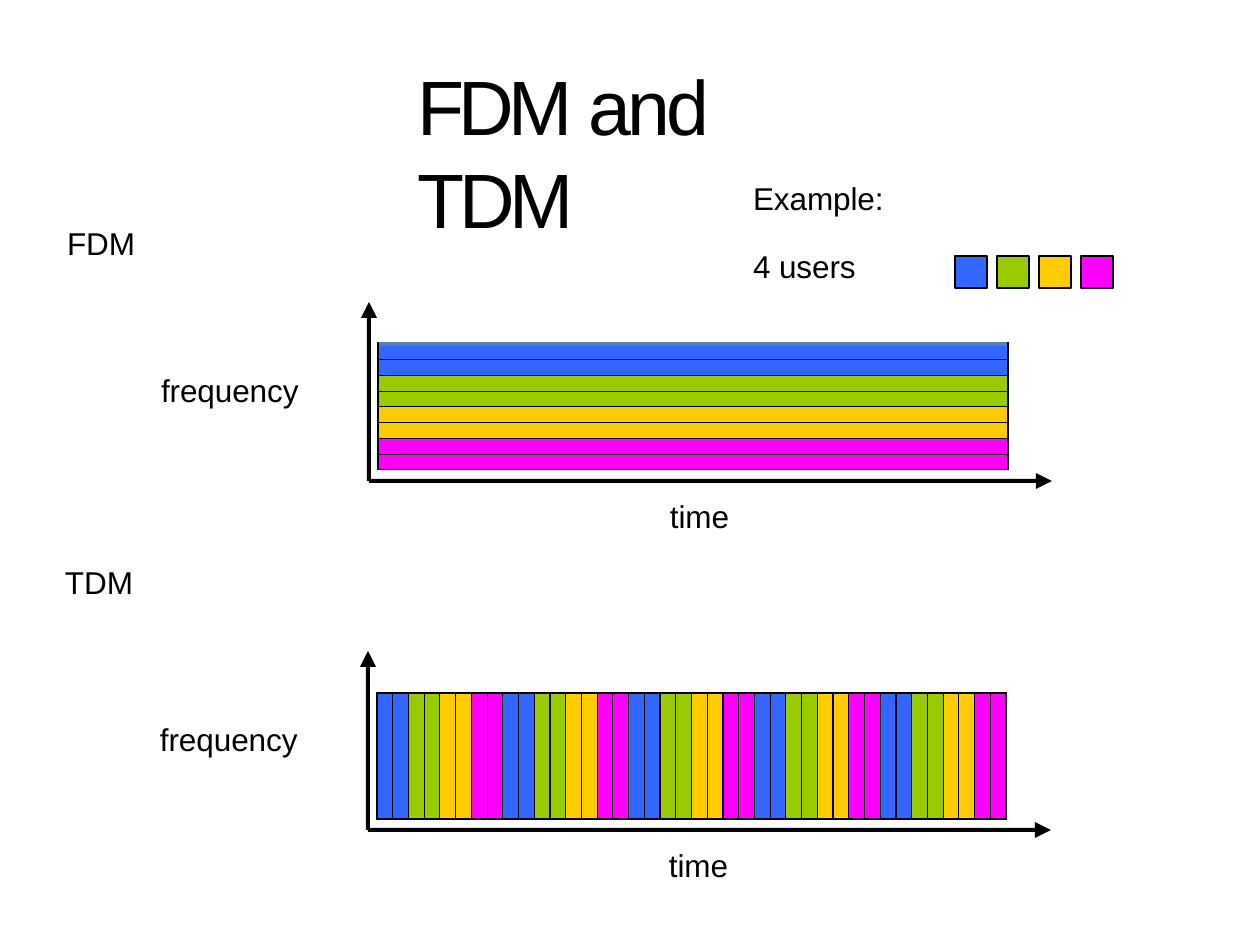
from lxml import etree
from pptx import Presentation
from pptx import util as u
from pptx.dml.color import RGBColor
from pptx.enum import shapes, text
from pptx.oxml import ns

PX = 914400 / 126
INK = {"black": "000000", "rim": "4F81BC"}
USERS = {"blue": "3366FF", "green": "99CC00", "gold": "FFCC00", "pink": "FF00FF"}
SLOTS = [hue for hue in USERS.values() for _ in range(2)]


def px(n):
    return u.Emu(round(n * PX))


def paint(fill, hue):
    fill.solid()
    fill.fore_color.rgb = RGBColor.from_string(hue)


def add(node, tag, **attrs):
    return etree.SubElement(node, ns.qn(tag), attrs)


def write(slide, runs, x, y, w, h=42, size=18, before=1):
    """Place one paragraph made of (words, letter spacing) runs."""
    frame = slide.shapes.add_textbox(px(x), px(y), px(w), px(h)).text_frame
    frame.word_wrap = True
    frame.vertical_anchor = text.MSO_ANCHOR.TOP
    frame.margin_left = frame.margin_right = frame.margin_bottom = 0
    frame.margin_top = px(2)
    para = frame.paragraphs[0]
    para.space_before = u.Pt(before)
    for words, gap in runs:
        run = para.add_run()
        run.text = words
        run.font.size = u.Pt(size)
        run.font.name = "Arial"
        run.font.color.rgb = RGBColor.from_string(INK["black"])
        run.font._element.set("spc", str(round(gap * 100)))


def label(slide, words, x, y, w):
    write(slide, [(words, -0.05)], x, y, w)


def axis(slide, x, y, size, upright):
    """Draw a solid arrow of the given length, up or to the right."""
    neck = size - 16
    side = [(0, 2), (neck, 2), (neck, 8)]
    outline = side + [(size, 0)] + [(a, -b) for a, b in reversed(side)]
    dots = [(x + b, y - a) if upright else (x + a, y + b) for a, b in outline]
    pen = slide.shapes.build_freeform(*dots[0], scale=PX)
    pen.add_line_segments(dots[1:], close=True)
    shape = pen.convert_to_shape()
    shape.shadow.inherit = False
    paint(shape.fill, INK["black"])
    shape.line.fill.background()


def edge(cell, side, hue, width):
    line = add(cell._tc.get_or_add_tcPr(), "a:ln" + side, w=str(u.Pt(width)))
    add(add(line, "a:solidFill"), "a:srgbClr", val=hue)


def bands(slide, x, y, w, h, rows, cols, rim):
    """Fill a table with the users' slots in turn; rim is its top border."""
    table = slide.shapes.add_table(rows, cols, px(x), px(y), px(w), px(h)).table
    table.first_row = table.horz_banding = False
    for row in table.rows:
        row.height = px(h / rows)
    for col in table.columns:
        col.width = px(w / cols)
    for i, cell in enumerate(table.iter_cells()):
        cell.margin_left = cell.margin_right = 0
        cell.margin_top = cell.margin_bottom = 0
        for side in "LRTB":
            top = side == "T" and i < cols
            edge(cell, side, *(rim if top else (INK["black"], 0.75)))
        paint(cell.fill, SLOTS[i % len(SLOTS)])
        add(cell.text_frame.paragraphs[0]._p, "a:endParaRPr", sz="100")


def graph(slide, x, y, rows, cols, rim):
    base = y + 179
    axis(slide, x, base, 179, True)
    axis(slide, x, base, 683, False)
    label(slide, "frequency", x - 208, y + 67, 142)
    label(slide, "time", x + 301, y + 193, 64)
    bands(slide, x + 9, y + 42, 630, 126, rows, cols, rim)


def legend(slide, x, y):
    label(slide, "Example:", x, y, 135)
    label(slide, "4 users", x, y + 68, 108)
    for i, hue in enumerate(USERS.values()):
        box = slide.shapes.add_shape(
            shapes.MSO_SHAPE.RECTANGLE, px(x + 202 + 42 * i), px(y + 79), px(32), px(32))
        box.shadow.inherit = False
        paint(box.fill, hue)
        paint(box.line.fill, INK["black"])
        box.line.width = u.Pt(0.72)


def main():
    deck = Presentation()
    deck.slide_width, deck.slide_height = px(1260), px(945)
    slide = deck.slides.add_slide(deck.slide_layouts[6])
    write(slide, [("FDM ", -3.5), ("and ", -2), ("TDM", -3.1)],
          418, 57, 450, 96, size=44, before=1.1)
    label(slide, "FDM", 67, 222, 72)
    graph(slide, 369, 302, 8, 1, (INK["rim"], 2.25))
    label(slide, "TDM", 65, 561, 72)
    graph(slide, 368, 651, 1, 40, (INK["black"], 0.75))
    legend(slide, 753, 177)
    deck.save("out.pptx")


if __name__ == "__main__":
    main()
